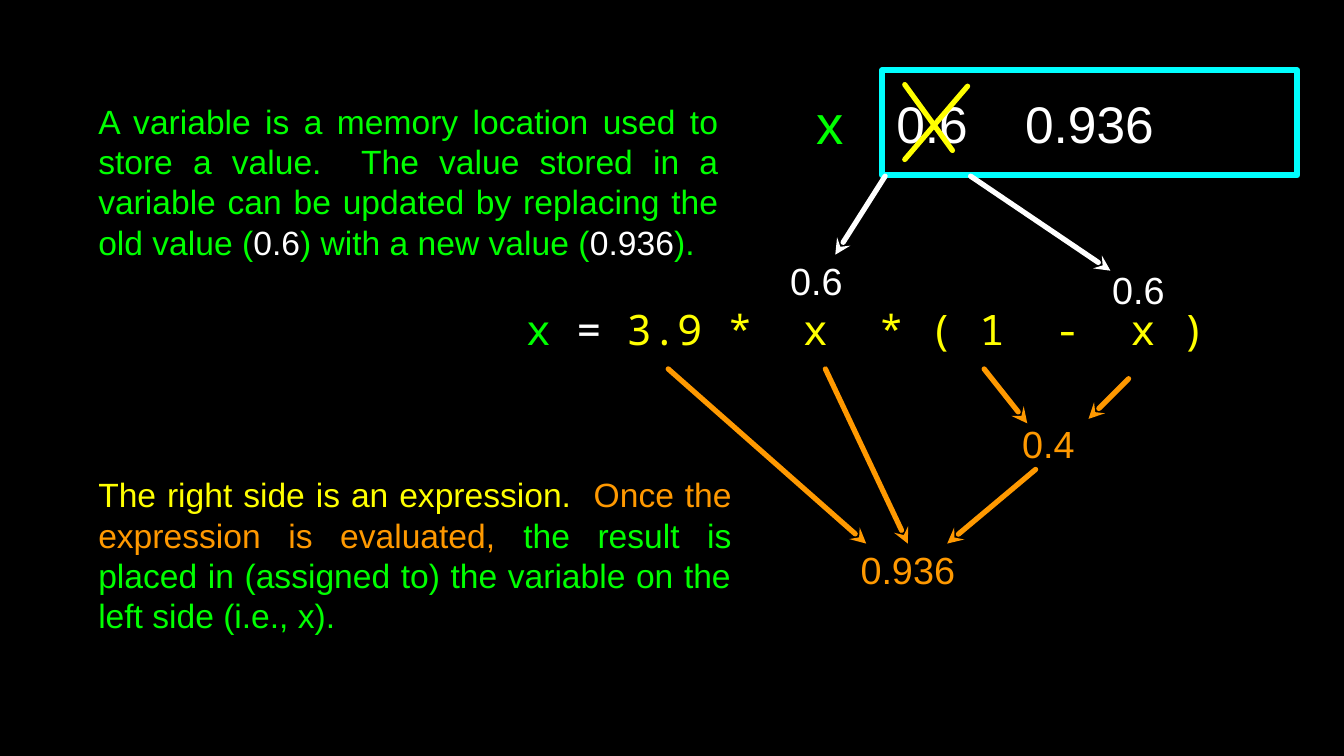
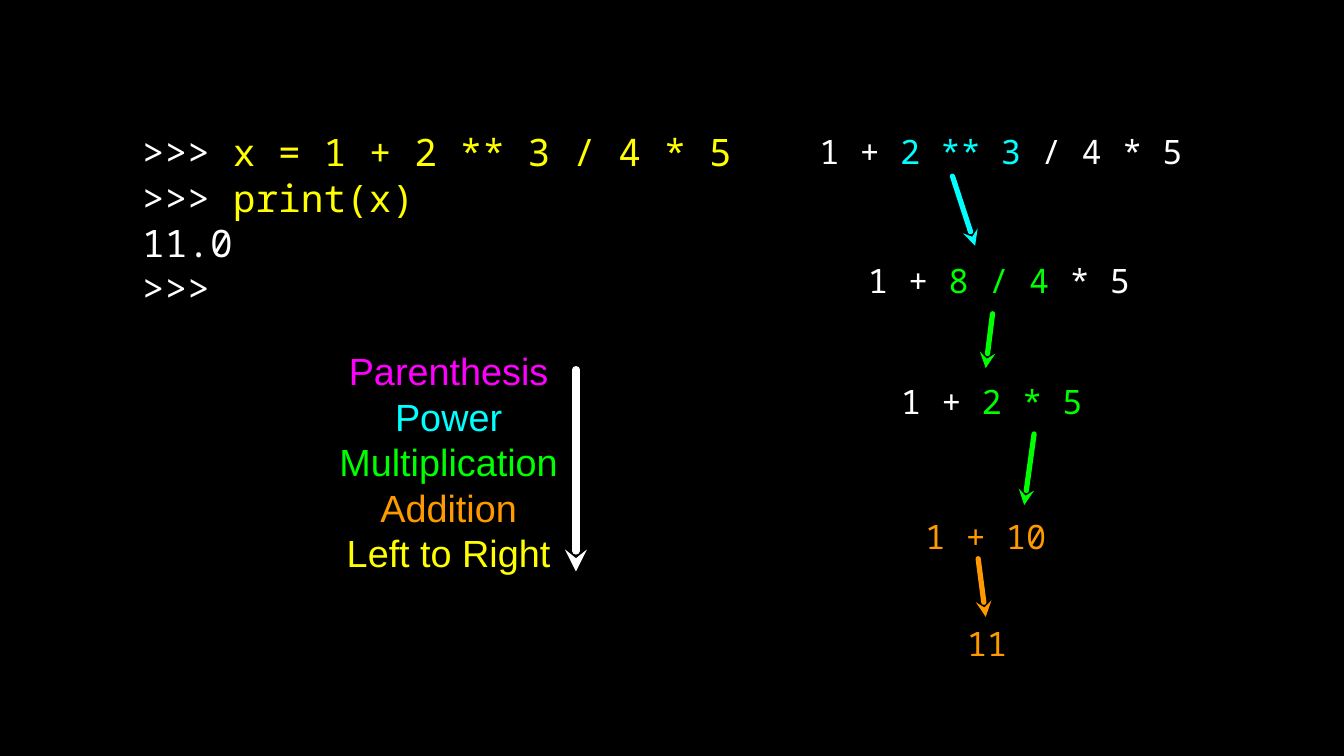
from dataclasses import dataclass

from lxml.etree import SubElement
from pptx import Presentation
from pptx.dml.color import RGBColor
from pptx.enum.shapes import MSO_CONNECTOR as Connector, MSO_SHAPE as Preset
from pptx.enum.text import MSO_ANCHOR as Anchor, PP_ALIGN as Align
from pptx.oxml.ns import qn
from pptx.util import Pt


@dataclass(frozen=True)
class Theme:
    """Colours, fonts and sizes shared by the slides."""
    black: str = "000000"
    white: str = "FFFFFF"
    green: str = "00FF00"
    yellow: str = "FFFF00"
    orange: str = "FF9900"
    cyan: str = "00FFFF"
    magenta: str = "FF00FF"
    sans: str = "Arial"
    mono: str = "Noto Sans Mono"
    body: int = 32
    label: int = 36
    expression: int = 40
    memory: int = 49
    variable: int = 52
    stroke: int = 5
    leading: float = 1.2


theme = Theme()


def write(box, paragraphs, size, font=theme.sans, align=Align.LEFT):
    """Fill a shape with paragraphs, each a list of (text, colour) spans."""
    frame = box.text_frame
    frame.word_wrap = True
    frame.vertical_anchor = Anchor.MIDDLE
    frame.margin_left = frame.margin_right = Pt(0)
    frame.margin_top = frame.margin_bottom = Pt(0)
    for number, spans in enumerate(paragraphs):
        para = frame.add_paragraph() if number else frame.paragraphs[0]
        para.alignment = align
        para.line_spacing = Pt(size * theme.leading)
        for text, colour in spans:
            span = para.add_run()
            span.text = text
            span.font.name = font
            span.font.size = Pt(size)
            span.font.color.rgb = RGBColor.from_string(colour)


def draw_line(shapes, colour, start, end, width=theme.stroke, arrow=True):
    """Draw a round-capped line, with a stealth arrowhead at its end if asked."""
    line = shapes.add_connector(Connector.STRAIGHT, *map(Pt, start + end))
    line.line.width = Pt(width)
    line.line.color.rgb = RGBColor.from_string(colour)
    properties = line._element.spPr
    outline = line.line._get_or_add_ln()
    outline.set("cap", "rnd")
    SubElement(outline, qn("a:round"))
    if arrow:
        SubElement(outline, qn("a:tailEnd"), type="stealth")
    SubElement(properties, qn("a:effectLst"))


deck = Presentation()
deck.slide_width, deck.slide_height = Pt(1280.16), Pt(720)
background = deck.slide_master.background.fill
background.solid()
background.fore_color.rgb = RGBColor.from_string(theme.black)
blank = deck.slide_layouts[6]

# Slide 1: assigning a new value to a variable
page = deck.slides.add_slide(blank)
shapes = page.shapes

box = shapes.add_textbox(Pt(501), Pt(268), Pt(696), Pt(91))
write(box, [[("x ", theme.green), ("= ", theme.white),
             ("3.9 *  x  * ( 1  -  x )", theme.yellow)]],
      theme.expression, theme.mono)

memory = shapes.add_shape(Preset.RECTANGLE, Pt(840.2), Pt(67), Pt(395.3), Pt(100))
memory.shadow.inherit = False
memory.fill.background()
memory.line.color.rgb = RGBColor.from_string(theme.cyan)
memory.line.width = Pt(6)
SubElement(memory.line._get_or_add_ln(), qn("a:round"))
write(memory, [[("0.6\t0.936", theme.white)]], theme.memory)
memory.text_frame.margin_left = Pt(13.6)
tabs = SubElement(memory.text_frame.paragraphs[0]._p.get_or_add_pPr(), qn("a:tabLst"))
SubElement(tabs, qn("a:tab"), pos=str(Pt(122.6)), algn="l")

LABEL_HEIGHT = 49
labels = [
    ("0.4", theme.orange, 956.9, 398.2, 83.5),
    ("0.936", theme.orange, 796.3, 517.7, 136.8),
    ("0.6", theme.white, 742.3, 242.6, 70.6),
    ("0.6", theme.white, 1042.6, 251.3, 83.5),
]
for text, colour, left, top, width in labels:
    box = shapes.add_textbox(Pt(left), Pt(top), Pt(width), Pt(LABEL_HEIGHT))
    write(box, [[(text, colour)]], theme.label, align=Align.CENTER)

box = shapes.add_textbox(Pt(772.6), Pt(82.8), Pt(35.3), Pt(67.7))
write(box, [[("x", theme.green)]], theme.variable, align=Align.CENTER)

explanations = [
    (447.1, 603.4, 162.7, [
        ("The right side is an expression.  ", theme.yellow),
        ("Once the expression is evaluated, ", theme.orange),
        ("the result is placed in (assigned to) the variable on the "
         "left side (i.e., x).", theme.green)]),
    (87.8, 591.1, 169.9, [
        ("A variable is a memory location used to store a value.  The value "
         "stored in a variable can be updated by replacing the old value (",
         theme.green),
        ("0.6", theme.white), (") with a new value (", theme.green),
        ("0.936", theme.white), (").", theme.green)]),
]
for top, width, height, spans in explanations:
    box = shapes.add_textbox(Pt(93.6), Pt(top), Pt(width), Pt(height))
    write(box, [spans], theme.body, align=Align.JUSTIFY)

UNDER_EXPRESSION, ABOVE_RESULT, UNDER_MEMORY = 351.4, 517.7, 167.8
arrows = [
    (theme.orange, (986.4, 447.1), (902.2, ABOVE_RESULT)),
    (theme.orange, (1075, 360.7), (1036.8, 398.9)),
    (theme.orange, (937.4, UNDER_EXPRESSION), (978.5, 403.2)),
    (theme.orange, (636.5, UNDER_EXPRESSION), (825.1, ABOVE_RESULT)),
    (theme.orange, (786.2, UNDER_EXPRESSION), (864.7, ABOVE_RESULT)),
    (theme.white, (843.1, UNDER_MEMORY), (795.6, 242.6)),
    (theme.white, (924.5, UNDER_MEMORY), (1057.7, 257.8)),
]
for colour, start, tip in arrows:
    draw_line(shapes, colour, start, tip)

cross = [((921.6, 82.1), (861.8, 151.9)), ((861.8, 80.6), (907.2, 143.3))]
for start, end in cross:
    draw_line(shapes, theme.yellow, start, end, arrow=False)

# Slide 2: order of operations
page = deck.slides.add_slide(blank)
shapes = page.shapes

STEP_HEIGHT = 62.6
steps = [
    (780.5, 113, 364.3, [("1 + ", theme.white), ("2 ** 3", theme.cyan),
                         (" / 4 * 5", theme.white)]),
    (826.6, 235.4, 318.2, [("1 + ", theme.white), ("8 / 4", theme.green),
                           (" * 5", theme.white)]),
    (858.2, 350.6, 253.4, [("1 + ", theme.white), ("2 * 5", theme.green)]),
    (881.3, 479.5, 177.8, [("1 + 10", theme.orange)]),
    (920.9, 581, 56.9, [("11", theme.orange)]),
]
for left, top, width, spans in steps:
    box = shapes.add_textbox(Pt(left), Pt(top), Pt(width), Pt(STEP_HEIGHT))
    write(box, [spans], theme.body, theme.mono)

step_arrows = [
    (theme.cyan, (907.2, 167.8), (928.8, 234)),
    (theme.green, (945.4, 298.8), (938.9, 350.6)),
    (theme.green, (985, 413.3), (975.6, 481)),
    (theme.orange, (931.7, 532.1), (938.9, 587.5)),
]
for colour, start, tip in step_arrows:
    draw_line(shapes, colour, start, tip)

prompt = (">>> ", theme.white)
box = shapes.add_textbox(Pt(135.4), Pt(92.9), Pt(578.9), Pt(232.6))
write(box, [[prompt, ("x = 1 + 2 ** 3 / 4 * 5", theme.yellow)],
            [prompt, ("print(x)", theme.yellow)],
            [("11.0", theme.white)],
            [prompt]], theme.label, theme.mono)

precedence = shapes.add_group_shape().shapes
box = precedence.add_textbox(Pt(281.5), Pt(298.1), Pt(291.6), Pt(283))
ranks = [("Parenthesis", theme.magenta), ("Power", theme.cyan),
         ("Multiplication", theme.green), ("Addition", theme.orange),
         ("Left to Right", theme.yellow)]
write(box, [[rank] for rank in ranks], theme.label, align=Align.CENTER)
draw_line(precedence, theme.white, (548.6, 352.1), (548.6, 544.3), width=7)

deck.save("out.pptx")
